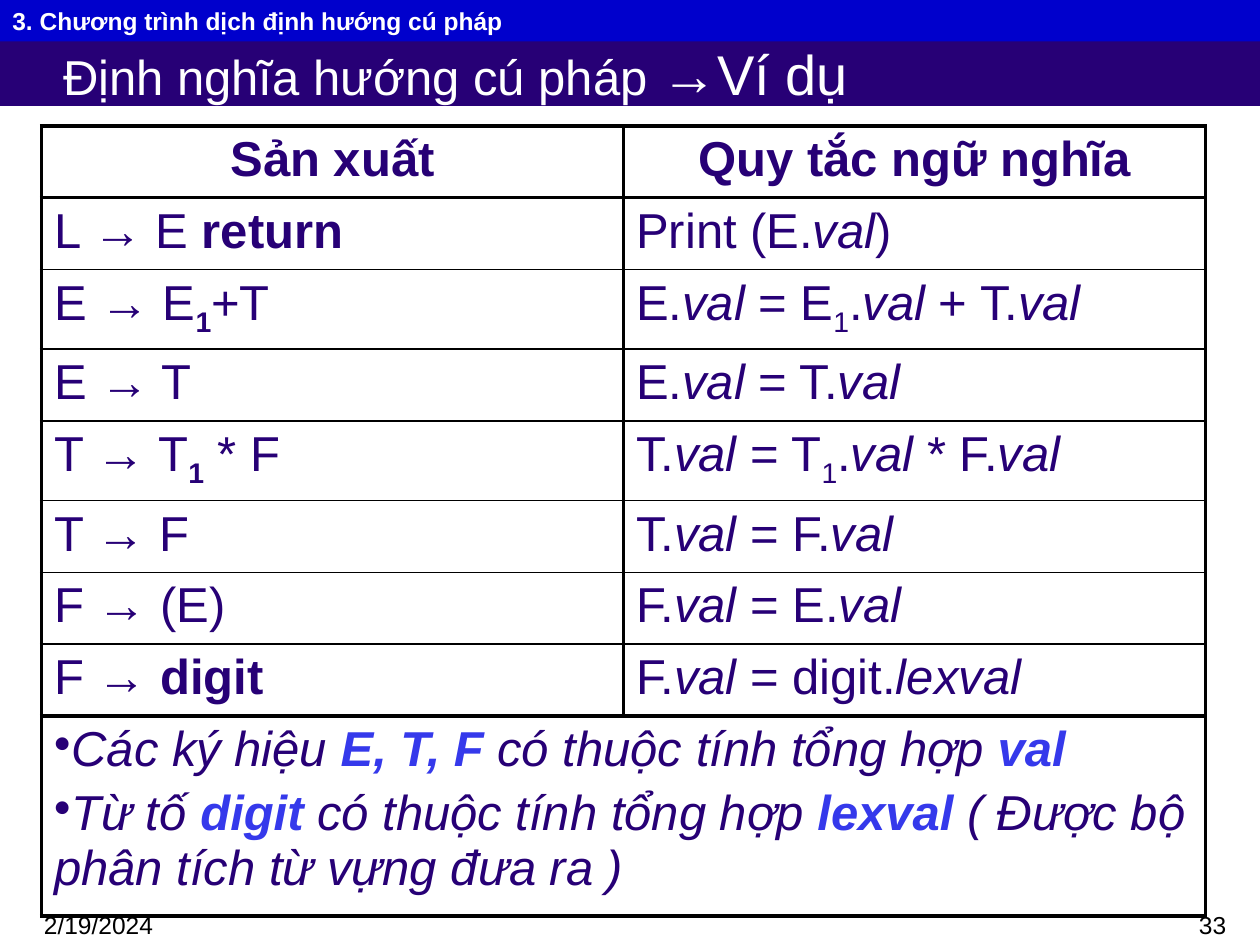
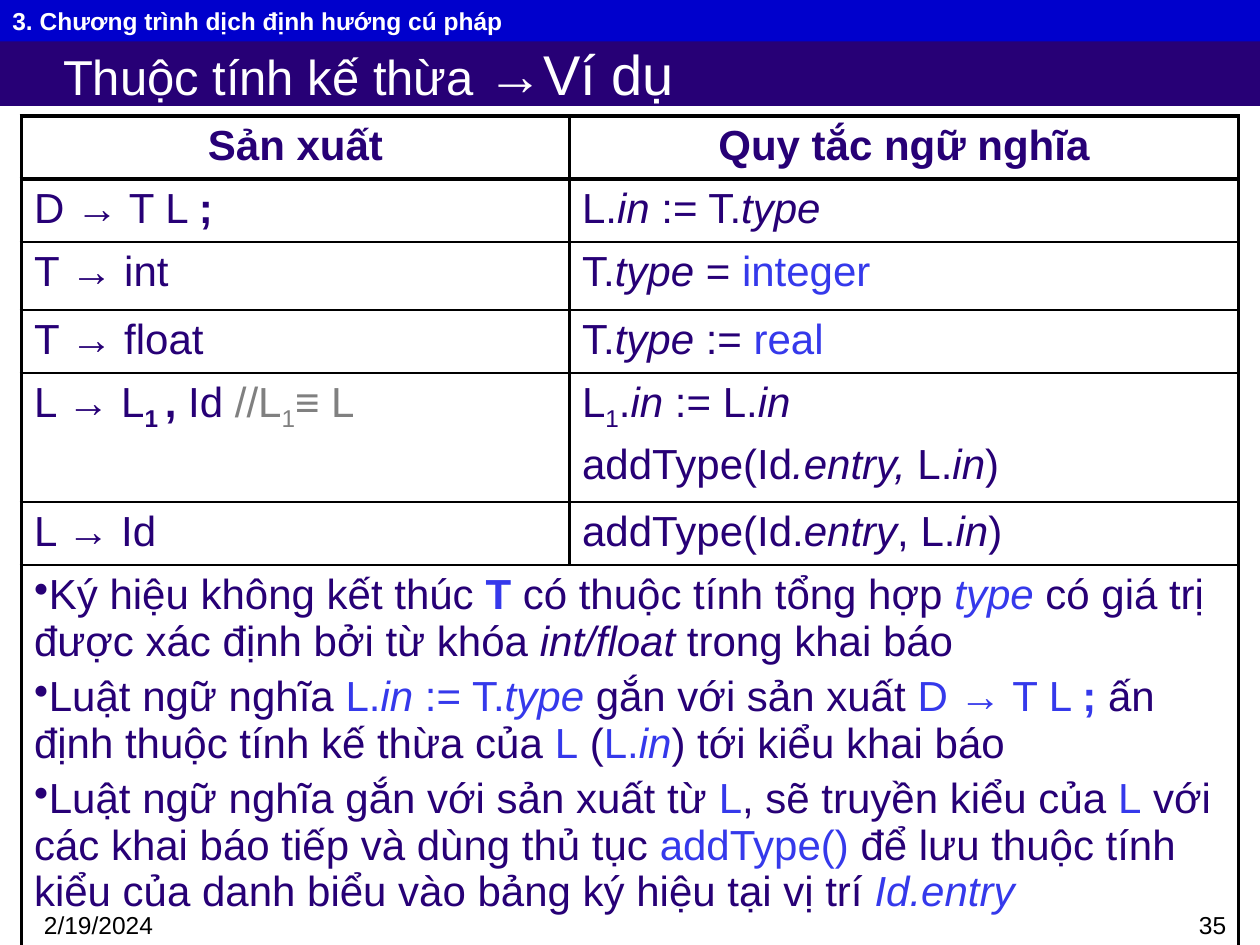
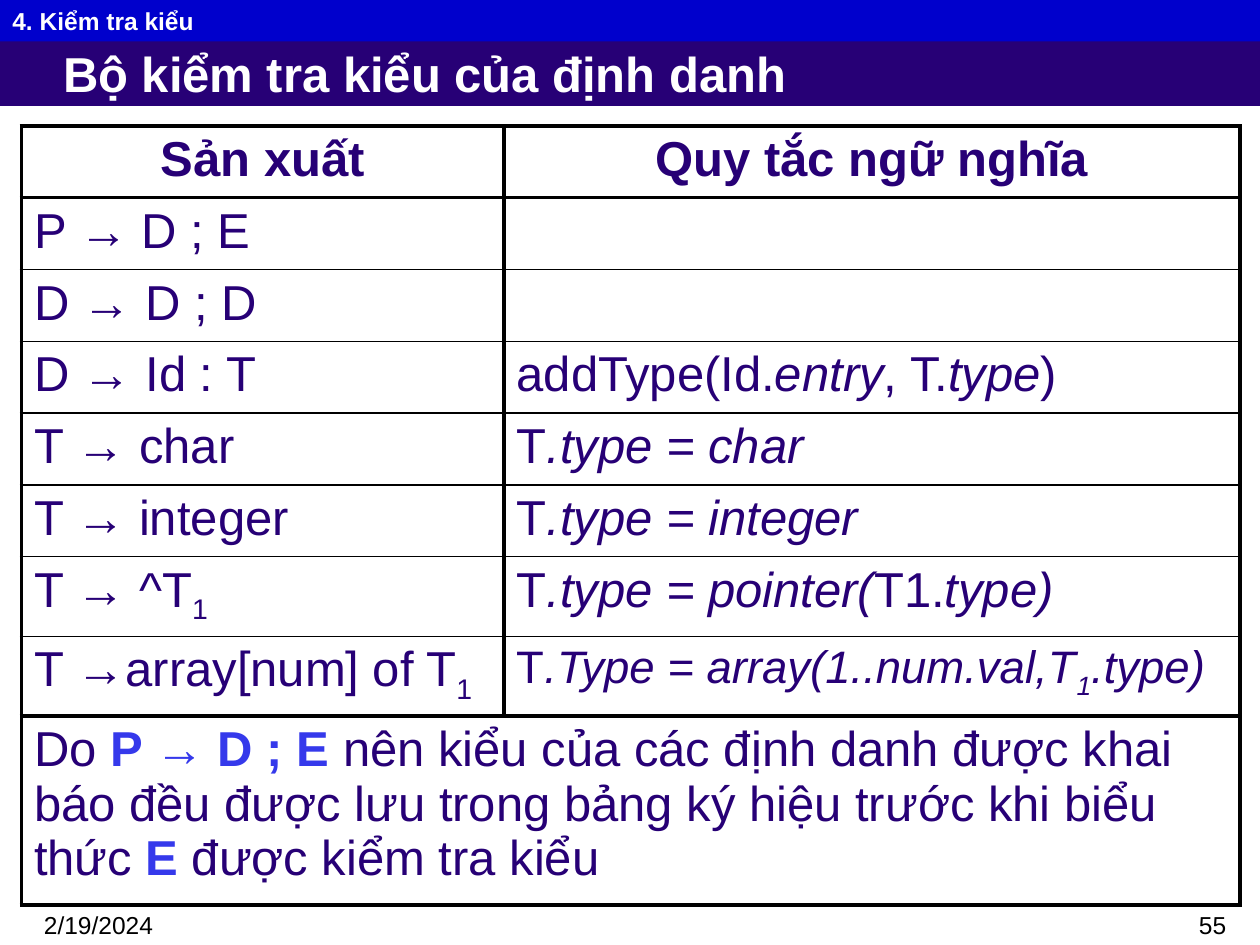
from itertools import groupby

from lxml import etree
from pptx import Presentation
from pptx.dml.color import RGBColor
from pptx.enum.shapes import MSO_SHAPE
from pptx.enum.text import MSO_ANCHOR, MSO_AUTO_SIZE, PP_ALIGN
from pptx.oxml.ns import qn
from pptx.util import Inches, Pt

RECTANGLE = MSO_SHAPE.RECTANGLE
MIDDLE = MSO_ANCHOR.MIDDLE
NO_AUTOFIT = MSO_AUTO_SIZE.NONE
LEFT, CENTER, RIGHT = PP_ALIGN.LEFT, PP_ALIGN.CENTER, PP_ALIGN.RIGHT

INK = RGBColor(0x27, 0x00, 0x76)
BAND_BLUE = RGBColor(0x00, 0x00, 0xCC)
HIGHLIGHT = RGBColor(0x35, 0x39, 0xEB)
GRAY = RGBColor(0x80, 0x80, 0x80)
WHITE = RGBColor(0xFF, 0xFF, 0xFF)
BLACK = RGBColor(0x00, 0x00, 0x00)

FONT = "Arial"
DATE = "2/19/2024"
HEADINGS = ("`Sản xuất", "`Quy tắc ngữ nghĩa")
HEAVY, THIN = 2.25, 1
ITALIC, BOLD, SUBSCRIPT, BLUE, COMMENT = "~`_^|"
CARET_ESCAPE = "\\"

TRANSLATION = "3. Chương trình dịch định hướng cú pháp"

LESSONS = [
    {
        "section": TRANSLATION,
        "title": [("Định nghĩa hướng cú pháp ", 28), ("→Ví dụ", 32)],
        "title_bold": False,
        "number": "33",
        "place": (0.33, 1),
        "columns": (4.62, 4.62),
        "row_heights": [0.57] * 8 + [1.59],
        "size": 28,
        "rules": [
            ("L → E `return`", "Print (E.~val~)"),
            ("E → E`_1_`+T", "E.~val~ = E_1_.~val~ + T.~val~"),
            ("E → T", "E.~val~ = T.~val~"),
            ("T → T`_1_` * F", "T.~val~ = T_1_.~val~ * F.~val~"),
            ("T → F", "T.~val~ = F.~val~"),
            ("F → (E)", "F.~val~ = E.~val~"),
            ("F → `digit`", "F.~val~ = digit.~lexval~"),
        ],
        "notes": [
            "~Các ký hiệu ^`E, T, F`^ có thuộc tính tổng hợp ^`val`^",
            "~Từ tố ^`digit`^ có thuộc tính tổng hợp ^`lexval`^ "
            "( Được bộ phân tích từ vựng đưa ra )",
        ],
        "bulleted": True,
        "note_border": HEAVY,
        "small_cells": {},
    },
    {
        "section": TRANSLATION,
        "title": [("Thuộc tính kế thừa ", 28), ("→Ví dụ", 32)],
        "title_bold": False,
        "number": "35",
        "place": (0.17, 0.92),
        "columns": (4.35, 5.31),
        "row_heights": [0.5, 0.5, 0.54, 0.5, 0.98, 0.5, 3.06],
        "size": 24,
        "rules": [
            ("D → T L `;`", "L.~in~ := T.~type~"),
            ("T → int", "T.~type~ = ^integer^"),
            ("T → float", "T.~type~ := ^real^"),
            ("L → L`_1 _,` Id |//L_1_≡ L|",
             "L_1_.~in~ := L.~in~\naddType(Id~.entry,~ L.~in~)"),
            ("L → Id", "addType(Id.~entry~, L.~in~)"),
        ],
        "notes": [
            "Ký hiệu không kết thúc ^`T`^ có thuộc tính tổng hợp ^~type~^ có giá trị "
            "được xác định bởi từ khóa ~int/float~ trong khai báo",
            "Luật ngữ nghĩa ^L.~in~ := T.~type~^ gắn với sản xuất ^D → T L `; `^"
            "ấn định thuộc tính kế thừa của ^L^ (^L.~in~^) tới kiểu khai báo",
            "Luật ngữ nghĩa gắn với sản xuất từ ^L^, sẽ truyền kiểu của ^L^ với "
            "các khai báo tiếp và dùng thủ tục ^addType()^ để lưu thuộc tính "
            "kiểu của danh biểu vào bảng ký hiệu tại vị trí ^~Id.entry~^",
        ],
        "bulleted": True,
        "note_border": THIN,
        "small_cells": {},
    },
    {
        "section": "4. Kiểm tra kiểu",
        "title": [("Bộ kiểm tra kiểu của định danh", 28)],
        "title_bold": True,
        "number": "55",
        "place": (0.17, 1),
        "columns": (3.83, 5.84),
        "row_heights": [0.57] * 8 + [1.5],
        "size": 28,
        "rules": [
            ("P → D ; E", ""),
            ("D → D ; D", ""),
            ("D → Id : T", "addType(Id.~entry~, T.~type~)"),
            ("T → char", "T~.type = char~"),
            ("T → integer", "T~.type = integer~"),
            ("T → \\^T_1_", "T~.type = pointer(~T1.~type)~"),
            ("T →array[num] of T_1_", "T~.Type = array(1..num.val,T_1_.type)~"),
        ],
        "notes": [
            "Do ^`P → D ; E`^ nên kiểu của các định danh được khai báo đều được lưu "
            "trong bảng ký hiệu trước khi biểu thức ^`E`^ được kiểm tra kiểu",
        ],
        "bulleted": False,
        "note_border": HEAVY,
        "small_cells": {(7, 1): 26},
    },
]


def styled_letters(marked):
    active = frozenset()
    escaped = False
    for letter in marked:
        if letter == CARET_ESCAPE:
            escaped = True
        elif letter in (ITALIC, BOLD, SUBSCRIPT, BLUE, COMMENT) and not escaped:
            active = active ^ {letter}
        else:
            escaped = False
            yield active, letter


def add_marked_runs(paragraph, marked):
    for active, letters in groupby(styled_letters(marked), key=lambda pair: pair[0]):
        run = paragraph.add_run()
        run.text = "".join(letter for _, letter in letters)
        if ITALIC in active:
            run.font.italic = True
        if BOLD in active:
            run.font.bold = True
        if SUBSCRIPT in active:
            run._r.get_or_add_rPr().set("baseline", "-25000")
        if BLUE in active:
            run.font.color.rgb = HIGHLIGHT
        if COMMENT in active:
            run.font.color.rgb = GRAY


def format_paragraph(paragraph, color, size, align=LEFT, bold=False):
    paragraph.alignment = align
    paragraph.font.name = FONT
    paragraph.font.size = Pt(size)
    paragraph.font.bold = bold
    paragraph.font.color.rgb = color


def fill_cell(cell, marked_lines, size, align=LEFT, bulleted=False):
    for index, marked in enumerate(marked_lines):
        if index == 0:
            paragraph = cell.text_frame.paragraphs[0]
        else:
            paragraph = cell.text_frame.add_paragraph()
            paragraph.space_before = Pt(0.2 * size)
        if bulleted:
            etree.SubElement(paragraph._p.get_or_add_pPr(), qn("a:buChar"), char="•")
        format_paragraph(paragraph, INK, size, align)
        add_marked_runs(paragraph, marked)


def set_borders(cell, top, bottom):
    properties = cell._tc.get_or_add_tcPr()
    widths = {"a:lnL": HEAVY, "a:lnR": HEAVY, "a:lnT": top, "a:lnB": bottom}
    for side, width in widths.items():
        line = etree.SubElement(properties, qn(side), w=str(Pt(width)))
        solid = etree.SubElement(line, qn("a:solidFill"))
        etree.SubElement(solid, qn("a:srgbClr"), val=str(BLACK))
    cell.fill.background()


def add_footer(slide, text, left, width, align):
    footer = slide.shapes.add_textbox(Inches(left), Inches(7.17), Inches(width), Inches(0.33))
    footer.text_frame.word_wrap = True
    paragraph = footer.text_frame.paragraphs[0]
    paragraph.text = text
    format_paragraph(paragraph, BLACK, 14, align)


def add_title(slide, lesson):
    title = slide.shapes.title
    title.left, title.top = Inches(0), Inches(0.32)
    title.width, title.height = Inches(10), Inches(0.52)
    title.fill.solid()
    title.fill.fore_color.rgb = INK
    frame = title.text_frame
    frame.auto_size = NO_AUTOFIT
    frame.vertical_anchor = MIDDLE
    frame.margin_left, frame.margin_right = Inches(0.5), Inches(0.1)
    frame.margin_top = frame.margin_bottom = Inches(0)
    paragraph = frame.paragraphs[0]
    format_paragraph(paragraph, WHITE, 28, LEFT, lesson["title_bold"])
    for text, size in lesson["title"]:
        run = paragraph.add_run()
        run.text = text
        run.font.size = Pt(size)


def add_section_band(slide, section):
    band = slide.shapes.add_shape(RECTANGLE, Inches(0), Inches(0), Inches(10), Inches(0.33))
    band.shadow.inherit = False
    band.fill.solid()
    band.fill.fore_color.rgb = BAND_BLUE
    band.line.fill.background()
    band.text_frame.vertical_anchor = MIDDLE
    band.text_frame.word_wrap = True
    paragraph = band.text_frame.paragraphs[0]
    paragraph.text = section
    format_paragraph(paragraph, WHITE, 14, LEFT, True)


def add_rule_table(slide, lesson):
    heights, widths, size = lesson["row_heights"], lesson["columns"], lesson["size"]
    left, top = lesson["place"]
    table = slide.shapes.add_table(
        len(heights), len(widths), Inches(left), Inches(top),
        Inches(sum(widths)), Inches(sum(heights))).table
    table.first_row = table.horz_banding = False
    for column, width in zip(table.columns, widths):
        column.width = Inches(width)
    last = len(heights) - 1
    edges = [HEAVY, HEAVY] + [THIN] * (last - 2) + [lesson["note_border"], HEAVY]
    for r, height in enumerate(heights):
        table.rows[r].height = Inches(height)
        for c in range(len(widths)):
            set_borders(table.cell(r, c), edges[r], edges[r + 1])
    for r, entries in enumerate([HEADINGS] + lesson["rules"]):
        for c, entry in enumerate(entries):
            cell_size = lesson["small_cells"].get((r, c), size)
            fill_cell(table.cell(r, c), entry.split("\n"), cell_size, LEFT if r else CENTER)
    note = table.cell(last, 0)
    note.merge(table.cell(last, len(widths) - 1))
    fill_cell(note, lesson["notes"], size, bulleted=lesson["bulleted"])


def main():
    deck = Presentation()
    deck.slide_width, deck.slide_height = Inches(10), Inches(7.5)
    title_only = deck.slide_layouts[5]
    for lesson in LESSONS:
        slide = deck.slides.add_slide(title_only)
        add_footer(slide, DATE, 0.25, 1.92, LEFT)
        add_footer(slide, lesson["number"], 7.75, 2.08, RIGHT)
        add_title(slide, lesson)
        add_section_band(slide, lesson["section"])
        add_rule_table(slide, lesson)
    deck.save("out.pptx")


if __name__ == "__main__":
    main()
